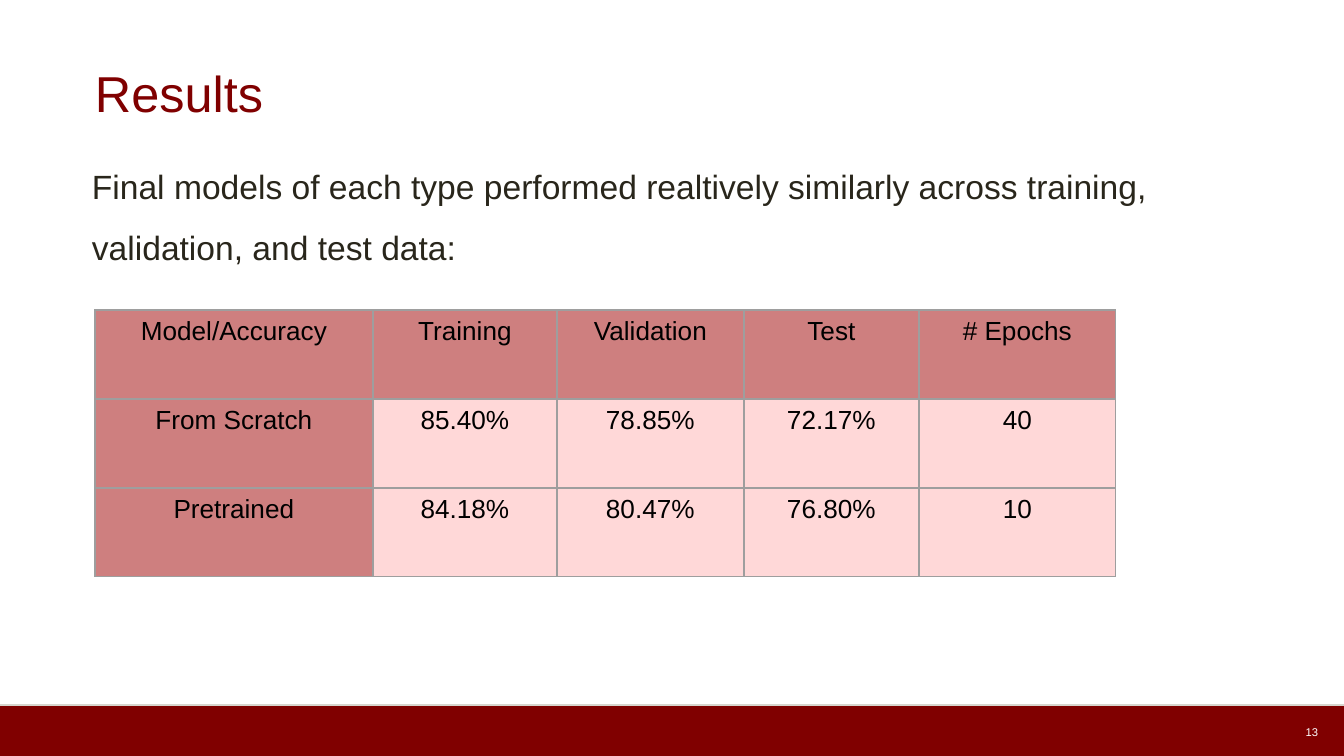
from lxml.etree import SubElement
from pptx import Presentation
from pptx.dml.color import RGBColor
from pptx.enum.shapes import MSO_CONNECTOR, MSO_SHAPE
from pptx.enum.text import MSO_ANCHOR, MSO_AUTO_SIZE, PP_ALIGN
from pptx.oxml.ns import qn
from pptx.util import Pt

SCALE = 914400 / 134.4
HUES = {
    "maroon": "800000",
    "rule": "D6D6CE",
    "white": "FFFFFF",
    "ink": "29261B",
    "black": "000000",
    "head": "9E0000",
    "data": "FFB3B3",
    "grid": "9E9E9E",
}
COLS = [278, 184, 187, 175, 197]
ROWS = [
    ["Model/Accuracy", "Training", "Validation", "Test", "# Epochs"],
    ["From Scratch", "85.40%", "78.85%", "72.17%", "40"],
    ["Pretrained", "84.18%", "80.47%", "76.80%", "10"],
]


def px(num):
    return round(num * SCALE)


def hue(name):
    return RGBColor.from_string(HUES[name])


class Deck:
    font = "Arial"

    def __init__(self, wide, high):
        self.show = Presentation()
        self.show.slide_width = px(wide)
        self.show.slide_height = px(high)
        self.slide = self.show.slides.add_slide(self.show.slide_layouts[5])

    def put(self, para, text, size, color, align=PP_ALIGN.LEFT, space=1.0):
        para.alignment = align
        para.line_spacing = space
        run = para.add_run()
        run.text = text
        run.font.name = self.font
        run.font.size = Pt(size)
        run.font.color.rgb = hue(color)

    def frame(self, shape, side, edge, anchor):
        frame = shape.text_frame
        frame.word_wrap = True
        frame.auto_size = MSO_AUTO_SIZE.NONE
        frame.margin_left = frame.margin_right = px(side)
        frame.margin_top = frame.margin_bottom = px(edge)
        frame.vertical_anchor = anchor
        return frame.paragraphs[0]

    def title(self, text, left, top, wide, high):
        shape = self.slide.shapes.title
        shape.left, shape.top = px(left), px(top)
        shape.width, shape.height = px(wide), px(high)
        para = self.frame(shape, 0, 6, MSO_ANCHOR.MIDDLE)
        self.put(para, text, 27, "maroon", space=0.9)

    def text(self, text, box, size, color, pad, anchor=MSO_ANCHOR.TOP, **style):
        shape = self.slide.shapes.add_textbox(*map(px, box))
        self.put(self.frame(shape, *pad, anchor), text, size, color, **style)

    def band(self, box, color):
        shape = self.slide.shapes.add_shape(MSO_SHAPE.RECTANGLE, *map(px, box))
        shape.shadow.inherit = False
        shape.fill.solid()
        shape.fill.fore_color.rgb = hue(color)
        shape.line.fill.background()

    def line(self, ends, color, width):
        line = self.slide.shapes.add_connector(MSO_CONNECTOR.STRAIGHT, *map(px, ends))
        line.line.color.rgb = hue(color)
        line.line.width = Pt(width)
        SubElement(line._element.spPr, qn("a:effectLst"))

    def paint(self, cell, color):
        props = cell._tc.get_or_add_tcPr()
        for side in ("lnL", "lnR", "lnT", "lnB"):
            edge = SubElement(props, qn("a:" + side), w=str(Pt(0.75)))
            fill = SubElement(edge, qn("a:solidFill"))
            SubElement(fill, qn("a:srgbClr"), val=HUES["grid"])
        cell.fill.solid()
        cell.fill.fore_color.rgb = hue(color)
        tint = props.find(qn("a:solidFill")).find(qn("a:srgbClr"))
        SubElement(tint, qn("a:alpha"), val="50000")

    def table(self, rows, cols, left, top, high):
        box = map(px, (left, top, sum(cols), high * len(rows)))
        grid = self.slide.shapes.add_table(len(rows), len(cols), *box).table
        for col, wide in zip(grid.columns, cols):
            col.width = px(wide)
        for r, row in enumerate(rows):
            grid.rows[r].height = px(high)
            for c, text in enumerate(row):
                cell = grid.cell(r, c)
                self.paint(cell, "data" if r and c else "head")
                para = cell.text_frame.paragraphs[0]
                self.put(para, text, 14, "black", PP_ALIGN.CENTER)


def main():
    deck = Deck(1344, 756)
    deck.band((0, 705, 1344, 51), "maroon")
    deck.line((0, 705, 1344, 705), "rule", 0.75)
    deck.title("Results", 95, 24, 1159, 145)
    deck.text("13", (949, 712, 379, 40), 6, "white", (10, 5),
              MSO_ANCHOR.MIDDLE, align=PP_ALIGN.RIGHT)
    deck.text(
        "Final models of each type performed realtively similarly across "
        "training, validation, and test data:",
        (79, 133, 1141, 52), 18, "ink", (13, 13), space=1.5)
    deck.table(ROWS, COLS, 95, 310, 89)
    deck.show.save("out.pptx")


if __name__ == "__main__":
    main()
